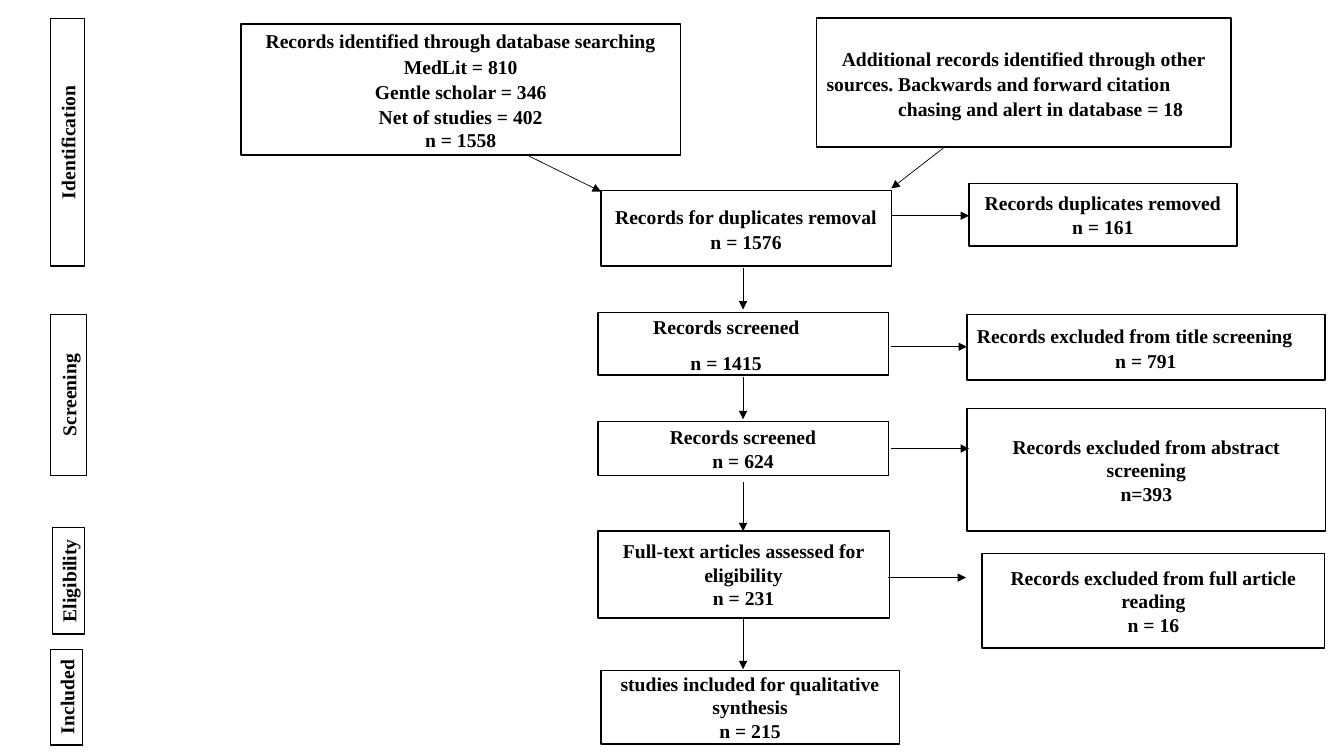
import pptx
import pptx.dml.color
import pptx.enum.shapes
import pptx.enum.text
import pptx.oxml
import pptx.oxml.ns
import pptx.util

Inches = pptx.util.Inches
Pt = pptx.util.Pt
ALIGN = pptx.enum.text.PP_ALIGN

BLACK, WHITE = "000000", "FFFFFF"
FONT = {"name": "Times New Roman", "size": Pt(14), "bold": True}
CENTER = {"alignment": ALIGN.CENTER}
LEFT = {"alignment": ALIGN.LEFT}
LOOSE = {"line_spacing": 1.07}
STEP = {**LEFT, **LOOSE, "space_after": Pt(8)}

# Stage labels, read upwards: text, (left, top, width, height) as seen
STAGES = [
    ("Identification", (0.5, 0.18, 0.34, 2.46)),
    ("Screening", (0.5, 3.12, 0.36, 1.6)),
    ("Eligibility", (0.52, 5.23, 0.32, 1.06)),
    ("Included", (0.5, 6.44, 0.32, 0.95)),
]

# Boxes: (left, top, width, height), then lines of (text, format, left indent)
BOXES = [
    ((2.39, 0.24, 4.36, 1.3), [
        ("Records identified through database searching", {**CENTER, **LOOSE}, 0),
        ("MedLit = 810", {**CENTER, **LOOSE}, 0),
        ("Gentle scholar = 346", {**CENTER, **LOOSE}, 0),
        ("Net of studies = 402", {**CENTER, **LOOSE}, 0),
        ("n = 1558", CENTER, 0)]),
    ((8.1, 0.18, 4.11, 1.28), [
        ("Additional records identified through other", {**CENTER, **LOOSE}, 0),
        ("sources. Backwards and forward citation", {**LEFT, **LOOSE}, 0),
        ("chasing and alert in database = 18", {**LEFT, **LOOSE}, 0.71)]),
    ((5.96, 1.89, 2.88, 0.75), [
        ("Records for duplicates removal", {**CENTER, **LOOSE}, 0),
        ("n = 1576", {**CENTER, **LOOSE}, 0)]),
    ((5.93, 3.1, 2.88, 0.62), [
        ("Records screened", STEP, 0.45),
        ("n = 1415", STEP, 0.82)]),
    ((5.93, 4.18, 2.88, 0.54), [
        ("Records screened", CENTER, 0),
        ("n = 624", CENTER, 0)]),
    ((5.93, 5.27, 2.89, 0.86), [
        ("Full-text articles assessed for eligibility", CENTER, 0),
        ("n = 231", CENTER, 0)]),
    ((5.96, 6.65, 2.96, 0.73), [
        ("studies included for qualitative synthesis", CENTER, 0),
        ("n = 215", CENTER, 0)]),
    ((9.61, 1.82, 2.66, 0.62), [
        ("Records duplicates removed", CENTER, 0),
        ("n = 161", CENTER, 0)]),
    ((9.59, 3.12, 3.55, 0.65), [
        ("Records excluded from title screening", {**LEFT, **LOOSE}, 0),
        ("n = 791", {**CENTER, **LOOSE}, 0)]),
    ((9.59, 4.05, 3.56, 1.22), [
        ("Records excluded from abstract screening", CENTER, 0),
        ("n=393", CENTER, 0)]),
    ((9.74, 5.49, 3.4, 0.94), [
        ("Records excluded from full article reading", CENTER, 0),
        ("n = 16", CENTER, 0)]),
]

MERGING_ARROWS = [(5.25, 1.55, 5.96, 1.9), (9.38, 1.45, 8.84, 1.87)]
FLOW_X = 7.37
DOWN_ARROWS = [(2.66, 3.07), (3.74, 4.16), (4.78, 5.27), (6.12, 6.64)]
EXCLUSION_ARROWS = [(8.84, 9.61, 2.14), (8.84, 9.59, 3.44),
                    (8.84, 9.61, 4.45), (8.81, 9.58, 5.73)]


def color(hex_string):
    return pptx.dml.color.RGBColor.from_string(hex_string)


def set_attributes(target, values):
    for name, value in values.items():
        setattr(target, name, value)


def add_box(slide, place, lines, rotation=0):
    shape = slide.shapes.add_shape(
        pptx.enum.shapes.MSO_SHAPE.RECTANGLE, *map(Inches, place))
    shape.rotation = rotation
    shape.shadow.inherit = False
    shape.fill.solid()
    shape.fill.fore_color.rgb = color(WHITE)
    shape.line.color.rgb = color(BLACK)
    shape.line.width = Pt(1)
    frame = shape.text_frame
    frame.word_wrap = True
    frame.vertical_anchor = pptx.enum.text.MSO_ANCHOR.MIDDLE
    for number, (text, layout, indent) in enumerate(lines):
        paragraph = frame.add_paragraph() if number else frame.paragraphs[0]
        set_attributes(paragraph, layout)
        if indent:
            paragraph._p.get_or_add_pPr().set("marL", str(Inches(indent)))
        run = paragraph.add_run()
        run.text = text
        set_attributes(run.font, FONT)
        run.font.color.rgb = color(BLACK)


def add_stage(slide, text, place):
    """Add a label turned to read upwards within the given place."""
    left, top, width, height = place
    shift = (height - width) / 2
    turned = (left - shift, top + shift, height, width)
    add_box(slide, turned, [(text, CENTER, 0)], rotation=270)


def add_arrow(slide, ends):
    connector = slide.shapes.add_connector(
        pptx.enum.shapes.MSO_CONNECTOR.STRAIGHT, *map(Inches, ends))
    connector.line.color.rgb = color(BLACK)
    connector.line.width = Pt(0.5)
    head = pptx.oxml.parse_xml(
        f'<a:tailEnd {pptx.oxml.ns.nsdecls("a")} type="triangle"/>')
    connector.line._get_or_add_ln().append(head)
    connector._element.spPr.append(
        pptx.oxml.parse_xml(f'<a:effectLst {pptx.oxml.ns.nsdecls("a")}/>'))


def main():
    presentation = pptx.Presentation()
    presentation.slide_width = Inches(13.33)
    presentation.slide_height = Inches(7.5)
    slide = presentation.slides.add_slide(presentation.slide_layouts[6])
    for place, lines in BOXES:
        add_box(slide, place, lines)
    for text, place in STAGES:
        add_stage(slide, text, place)
    arrows = MERGING_ARROWS + [
        (FLOW_X, start, FLOW_X, end) for start, end in DOWN_ARROWS
    ] + [(start, y, end, y) for start, end, y in EXCLUSION_ARROWS]
    for ends in arrows:
        add_arrow(slide, ends)
    presentation.save("out.pptx")


if __name__ == "__main__":
    main()
